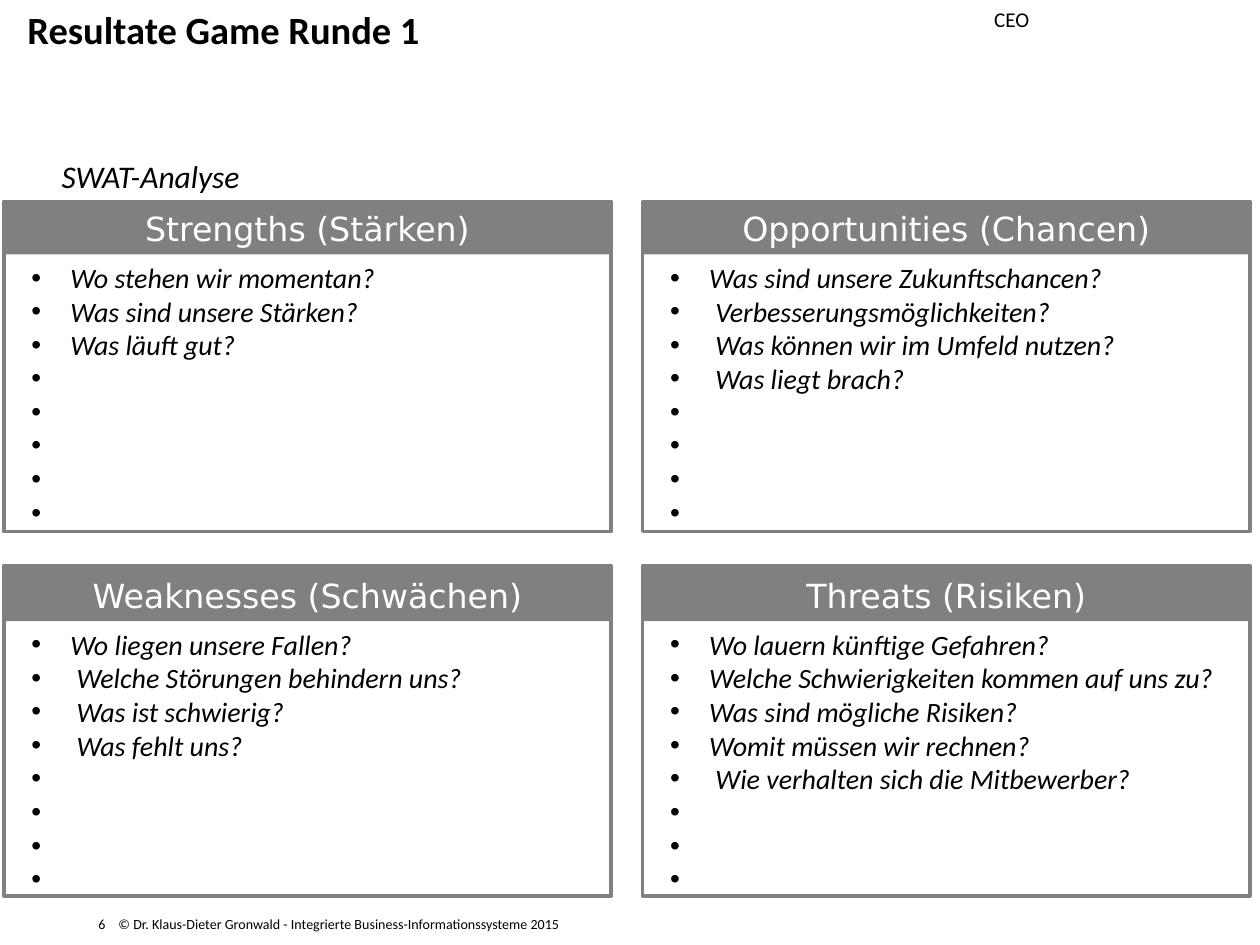
from dataclasses import dataclass

from lxml import etree
from pptx import Presentation
from pptx.dml.color import RGBColor
from pptx.enum.shapes import MSO_SHAPE
from pptx.enum.text import MSO_ANCHOR, MSO_AUTO_SIZE, PP_ALIGN
from pptx.oxml.ns import qn
from pptx.util import Inches, Pt

RECTANGLE = MSO_SHAPE.RECTANGLE
MIDDLE, TOP = MSO_ANCHOR.MIDDLE, MSO_ANCHOR.TOP
CENTER, LEFT = PP_ALIGN.CENTER, PP_ALIGN.LEFT
GROW = MSO_AUTO_SIZE.SHAPE_TO_FIT_TEXT


@dataclass(frozen=True)
class Theme:
    ink: RGBColor = RGBColor(0, 0, 0)
    paper: RGBColor = RGBColor(255, 255, 255)
    frame: RGBColor = RGBColor(128, 128, 128)
    text_font: str = "Calibri"
    header_font: str = "DejaVu Sans"
    title: int = 22
    header: int = 19
    subtitle: int = 18
    question: int = 16
    role: int = 12
    footer: int = 8


THEME = Theme()

# Grid of the four panels, in inches
GRID_LEFT, GRID_TOP = 0.03, 1.6
PANEL_WIDTH, PANEL_HEIGHT = 4.82, 2.62
COLUMN_STEP, ROW_STEP = PANEL_WIDTH + 0.25, PANEL_HEIGHT + 0.27
HEADER_HEIGHT, LIST_HEIGHT = 0.42, 2.26
ROW_HEADER_SHIFT = 0.02
BULLET_ROWS = 8
BULLET_INDENT, BULLET_HANG = 0.43, 0.31

# Panels by row, then by column
PANELS = [
    [
        ("Strengths (Stärken)",
         ["Wo stehen wir momentan?", "Was sind unsere Stärken?",
          "Was läuft gut?"]),
        ("Opportunities (Chancen)",
         ["Was sind unsere Zukunftschancen?", " Verbesserungsmöglichkeiten?",
          " Was können wir im Umfeld nutzen?", " Was liegt brach?"]),
    ],
    [
        ("Weaknesses (Schwächen)",
         ["Wo liegen unsere Fallen?", " Welche Störungen behindern uns?",
          " Was ist schwierig?", " Was fehlt uns?"]),
        ("Threats (Risiken)",
         ["Wo lauern künftige Gefahren?",
          "Welche Schwierigkeiten kommen auf uns zu?",
          "Was sind mögliche Risiken?", "Womit müssen wir rechnen?",
          " Wie verhalten sich die Mitbewerber?"]),
    ],
]


def add_run(paragraph, text, size, font=THEME.text_font, color=THEME.ink,
            bold=False, italic=False):
    run = paragraph.add_run()
    run.text = text
    run.font.size = Pt(size)
    run.font.name = font
    run.font.color.rgb = color
    run.font.bold = bold
    run.font.italic = italic


def add_text_frame(slide, box, anchor=TOP, inset=None):
    frame = slide.shapes.add_textbox(*map(Inches, box)).text_frame
    frame.word_wrap = True
    frame.vertical_anchor = anchor
    if inset is not None:
        frame.margin_left = frame.margin_right = Inches(inset)
        frame.margin_top = frame.margin_bottom = Inches(inset)
    return frame


def add_label(slide, box, text, size, align=LEFT, indent=0, inset=None,
              bold=False, italic=False):
    """Add a one-paragraph text and return its paragraph."""
    paragraph = add_text_frame(slide, box, inset=inset).paragraphs[0]
    paragraph.alignment = align
    if indent:
        paragraph._p.get_or_add_pPr().set("marL", str(Inches(indent)))
    add_run(paragraph, text, size, bold=bold, italic=italic)
    return paragraph


def set_tab_stop(paragraph, position):
    stops = etree.SubElement(paragraph._p.get_or_add_pPr(), qn("a:tabLst"))
    etree.SubElement(stops, qn("a:tab"), pos=str(Inches(position)), algn="l")


def set_bullet(paragraph):
    properties = paragraph._p.get_or_add_pPr()
    properties.set("marL", str(Inches(BULLET_INDENT)))
    properties.set("indent", str(-Inches(BULLET_HANG)))
    etree.SubElement(properties, qn("a:buFont"), typeface="Arial")
    etree.SubElement(properties, qn("a:buChar"), char="•")


def add_rectangle(slide, box):
    rectangle = slide.shapes.add_shape(RECTANGLE, *map(Inches, box))
    rectangle.shadow.inherit = False
    return rectangle


def add_panel_frame(slide, box):
    frame = add_rectangle(slide, box)
    frame.fill.background()
    frame.line.color.rgb = THEME.frame
    frame.line.width = Pt(2)


def add_panel_header(slide, box, heading):
    header = add_rectangle(slide, box)
    header.fill.solid()
    header.fill.fore_color.rgb = THEME.frame
    header.line.fill.background()
    header.text_frame.word_wrap = True
    header.text_frame.vertical_anchor = MIDDLE
    paragraph = header.text_frame.paragraphs[0]
    paragraph.alignment = CENTER
    add_run(paragraph, heading, THEME.header, THEME.header_font, THEME.paper)


def add_questions(slide, box, questions):
    """List the questions and leave the remaining bullets open for answers."""
    frame = add_text_frame(slide, box)
    frame.auto_size = GROW
    open_bullets = [" "] * (BULLET_ROWS - len(questions))
    for index, question in enumerate(questions + open_bullets):
        paragraph = frame.add_paragraph() if index else frame.paragraphs[0]
        set_bullet(paragraph)
        add_run(paragraph, question, THEME.question, italic=True)


def add_panel(slide, row, column, heading, questions):
    left = GRID_LEFT + column * COLUMN_STEP
    top = GRID_TOP + row * ROW_STEP
    header_top = top + row * ROW_HEADER_SHIFT
    list_top = header_top + HEADER_HEIGHT
    add_panel_frame(slide, (left, top, PANEL_WIDTH, PANEL_HEIGHT))
    add_panel_header(slide, (left, header_top, PANEL_WIDTH, HEADER_HEIGHT),
                     heading)
    add_questions(slide, (left, list_top, PANEL_WIDTH, LIST_HEIGHT), questions)


def main():
    presentation = Presentation()
    presentation.slide_width = Inches(10)
    presentation.slide_height = Inches(7.5)
    slide = presentation.slides.add_slide(presentation.slide_layouts[6])

    footer = add_label(
        slide, (0.7, 7.2, 5.32, 0.3),
        "6\t© Dr. Klaus-Dieter Gronwald - "
        "Integrierte Business-Informationssysteme 2015",
        THEME.footer, inset=0.08)
    set_tab_stop(footer, 0.16)
    add_label(slide, (7.48, 0, 1.1, 0.3), "CEO", THEME.role, align=CENTER)
    add_label(slide, (0.12, 0, 7.24, 0.84), "Resultate Game Runde 1",
              THEME.title, bold=True)
    add_label(slide, (0, 1.2, 9.89, 0.39), "SWAT-Analyse", THEME.subtitle,
              indent=0.39, italic=True)

    for row, panels in enumerate(PANELS):
        for column, (heading, questions) in enumerate(panels):
            add_panel(slide, row, column, heading, questions)

    presentation.save("out.pptx")


if __name__ == "__main__":
    main()
